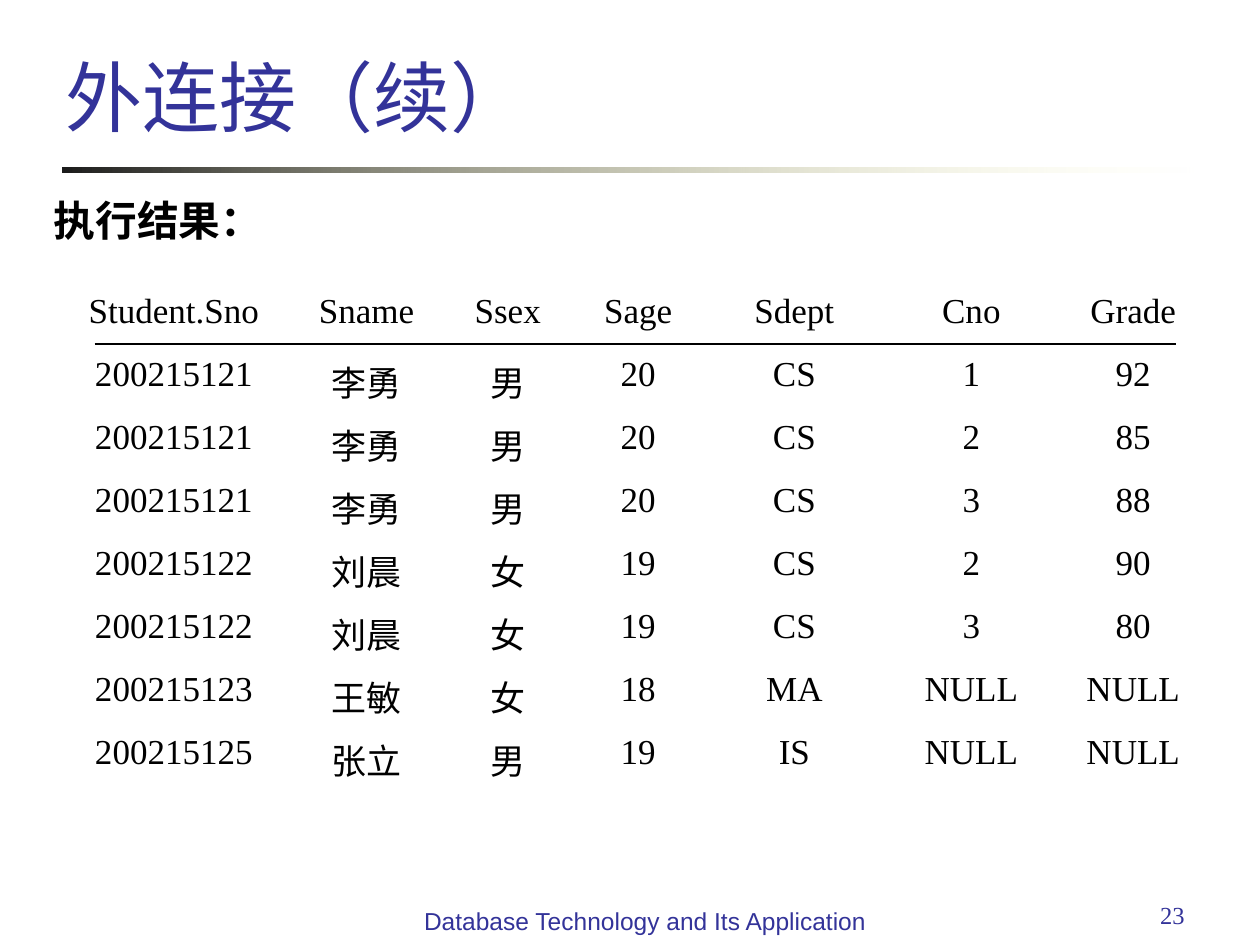
from dataclasses import dataclass

from lxml import etree
from pptx import Presentation
from pptx.dml.color import RGBColor
from pptx.enum.shapes import MSO_CONNECTOR, MSO_SHAPE
from pptx.enum.text import MSO_ANCHOR, MSO_AUTO_SIZE, PP_ALIGN
from pptx.oxml.ns import qn
from pptx.util import Inches, Pt

STRAIGHT = MSO_CONNECTOR.STRAIGHT
RECTANGLE = MSO_SHAPE.RECTANGLE
BOTTOM = MSO_ANCHOR.BOTTOM
NO_FIT = MSO_AUTO_SIZE.NONE
LEFT, CENTER, RIGHT, JUSTIFY = PP_ALIGN.LEFT, PP_ALIGN.CENTER, PP_ALIGN.RIGHT, PP_ALIGN.JUSTIFY
TITLE_ONLY = 5


@dataclass(frozen=True)
class Theme:
    sans: str = "Arial"
    serif: str = "Times New Roman"
    accent: RGBColor = RGBColor(0x33, 0x33, 0x99)
    ink: RGBColor = RGBColor(0, 0, 0)
    bar_start: RGBColor = RGBColor(0x1C, 0x1C, 0x1C)
    bar_end: RGBColor = RGBColor(0xFF, 0xFF, 0xB7)
    title_size: float = 44
    lead_size: float = 23.8
    table_size: float = 20
    footer_size: float = 14


class SlideBuilder:
    """Holds the theme and the current slide and draws each kind of element."""

    def __init__(self, theme, slide):
        self.theme = theme
        self.slide = slide

    def set_text(self, frame, text, font_name, size, color, align, bold=False):
        paragraph = frame.paragraphs[0]
        paragraph.text = text
        paragraph.alignment = align
        font = paragraph.font
        font.name, font.size, font.bold = font_name, Pt(size), bold
        font.color.rgb = color

    def title(self, text, left, top, width, height):
        title = self.slide.shapes.title
        title.left, title.top = Inches(left), Inches(top)
        title.width, title.height = Inches(width), Inches(height)
        frame = title.text_frame
        frame.auto_size = NO_FIT
        frame.vertical_anchor = BOTTOM
        self.set_text(frame, text, self.theme.sans, self.theme.title_size,
                      self.theme.accent, LEFT)

    def text(self, text, left, top, width, height, **style):
        box = self.slide.shapes.add_textbox(
            Inches(left), Inches(top), Inches(width), Inches(height))
        box.text_frame.word_wrap = True
        self.set_text(box.text_frame, text, **style)

    def fading_bar(self, left, top, width, height):
        bar = self.slide.shapes.add_shape(
            RECTANGLE, Inches(left), Inches(top), Inches(width), Inches(height))
        bar.shadow.inherit = False
        bar.line.fill.background()
        bar.fill.gradient()
        bar.fill.gradient_angle = 0
        start, end = bar.fill.gradient_stops
        start.color.rgb = self.theme.bar_start
        end.color.rgb = self.theme.bar_end
        end_color = list(bar._element.spPr.iter(qn("a:srgbClr")))[-1]
        etree.SubElement(end_color, qn("a:alpha"), val="0")

    def table(self, rows, left, top, column_widths, row_height):
        frame = self.slide.shapes.add_table(
            len(rows), len(column_widths), Inches(left), Inches(top),
            Inches(sum(column_widths)), Inches(row_height * len(rows)))
        table = frame.table
        table.first_row = table.horz_banding = False
        for column, width in zip(table.columns, column_widths):
            column.width = Inches(width)
        for row, values in zip(table.rows, rows):
            row.height = Inches(row_height)
            for cell, value in zip(row.cells, values):
                cell.fill.background()
                self.set_text(cell.text_frame, value, self.theme.serif,
                              self.theme.table_size, self.theme.ink, CENTER)

    def rule(self, left, right, top):
        line = self.slide.shapes.add_connector(
            STRAIGHT, Inches(left), Inches(top), Inches(right), Inches(top))
        line.line.color.rgb = self.theme.ink
        line.line.width = Pt(0.75)
        etree.SubElement(line._element.spPr, qn("a:effectLst"))


RESULT_ROWS = [
    ("Student.Sno", "Sname", "Ssex", "Sage", "Sdept", "Cno", "Grade"),
    ("200215121", "李勇", "男", "20", "CS", "1", "92"),
    ("200215121", "李勇", "男", "20", "CS", "2", "85"),
    ("200215121", "李勇", "男", "20", "CS", "3", "88"),
    ("200215122", "刘晨", "女", "19", "CS", "2", "90"),
    ("200215122", "刘晨", "女", "19", "CS", "3", "80"),
    ("200215123", "王敏", "女", "18", "MA", "NULL", "NULL"),
    ("200215125", "张立", "男", "19", "IS", "NULL", "NULL"),
]
COLUMN_WIDTHS = (1.9, 1.16, 1.08, 0.99, 1.49, 1.32, 1.25)


def main():
    deck = Presentation()
    deck.slide_width, deck.slide_height = Inches(10), Inches(7.5)
    theme = Theme()
    page = SlideBuilder(theme, deck.slides.add_slide(deck.slide_layouts[TITLE_ONLY]))
    footer = {"size": theme.footer_size, "color": theme.accent}

    page.fading_bar(0.5, 1.33, 9, 0.04)
    page.text("23", 7.17, 7.09, 2.33, 0.52, font_name=theme.serif, align=RIGHT, **footer)
    page.text("Database Technology and Its Application", 3.19, 7.14, 3.86, 0.52,
              font_name=theme.sans, align=CENTER, **footer)
    page.title("外连接（续）", 0.42, 0, 8.78, 1.18)
    page.text("执行结果：", 0.33, 1.5, 4.64, 0.52, font_name=theme.sans,
              size=theme.lead_size, color=theme.ink, align=JUSTIFY, bold=True)
    page.table(RESULT_ROWS, 0.43, 2.27, COLUMN_WIDTHS, 0.5)
    page.rule(0.75, 9.33, 2.73)
    deck.save("out.pptx")


if __name__ == "__main__":
    main()
